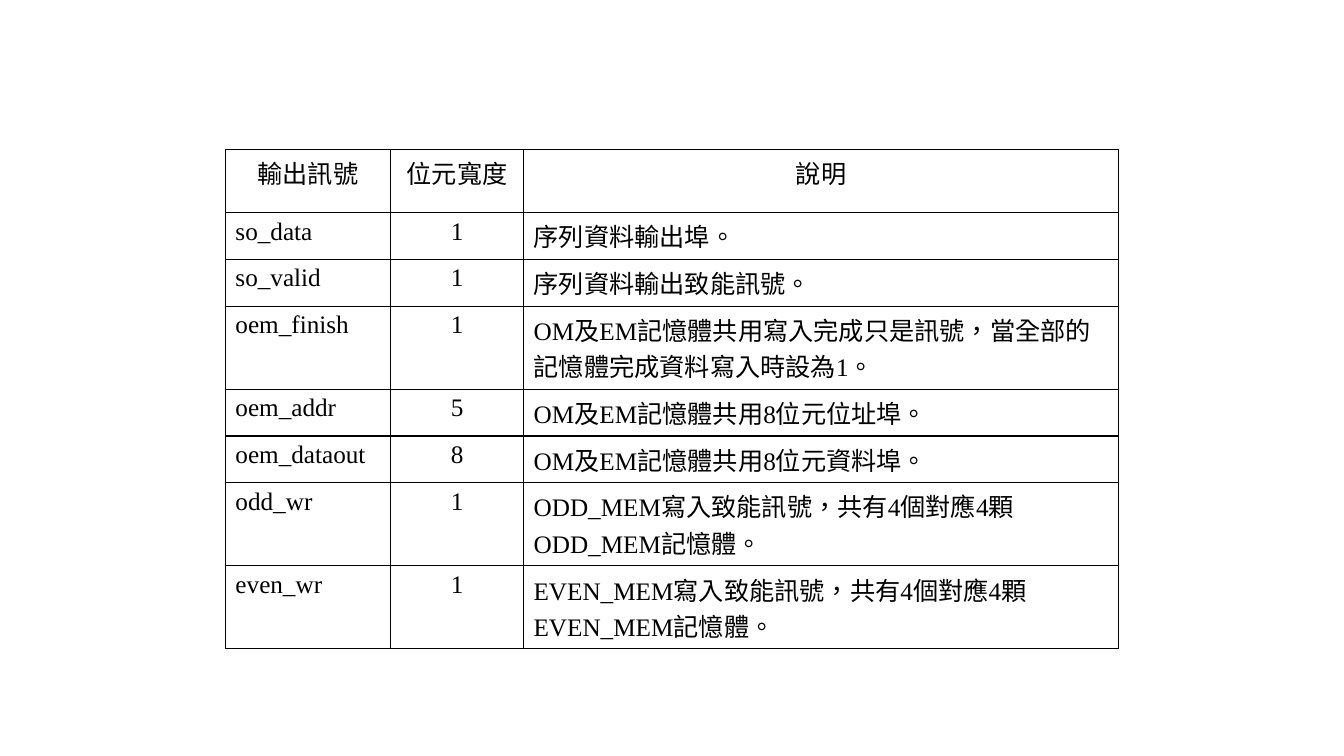
from lxml.etree import SubElement
from pptx import Presentation
from pptx.dml.color import RGBColor
from pptx.enum.text import PP_ALIGN
from pptx.oxml.ns import qn
from pptx.util import Pt

INK = "000000"
LATIN_FONT = "Times New Roman"
CHINESE_FONT = "Noto Sans CJK SC"
COLUMN_WIDTHS = (118, 95, 425)
HEADER_HEIGHT, ONE_LINE, TWO_LINES = 45.4, 33.4, 59.3

HEADINGS = ("輸出訊號", "位元寬度", "說明")
# Signal, bit width, description, row height
SIGNALS = [
    ("so_data", "1", "序列資料輸出埠。", ONE_LINE),
    ("so_valid", "1", "序列資料輸出致能訊號。", ONE_LINE),
    ("oem_finish", "1", "OM及EM記憶體共用寫入完成只是訊號，當全部的記憶體完成資料寫入時設為1。", TWO_LINES),
    ("oem_addr", "5", "OM及EM記憶體共用8位元位址埠。", ONE_LINE),
    ("oem_dataout", "8", "OM及EM記憶體共用8位元資料埠。", ONE_LINE),
    ("odd_wr", "1", "ODD_MEM寫入致能訊號，共有4個對應4顆ODD_MEM記憶體。", TWO_LINES),
    ("even_wr", "1", "EVEN_MEM寫入致能訊號，共有4個對應4顆EVEN_MEM記憶體。", TWO_LINES),
]


def color(value):
    return RGBColor.from_string(value)


def add_borders(cell):
    properties = cell._tc.get_or_add_tcPr()
    for position, side in enumerate(("lnL", "lnR", "lnT", "lnB")):
        border = SubElement(properties, qn(f"a:{side}"), w=str(Pt(1)))
        fill = SubElement(border, qn("a:solidFill"))
        SubElement(fill, qn("a:srgbClr"), val=INK)
        properties.insert(position, border)


def write_cell(cell, text, centered):
    cell.fill.background()
    add_borders(cell)
    cell.text_frame.text = text
    paragraph = cell.text_frame.paragraphs[0]
    paragraph.alignment = PP_ALIGN.CENTER if centered else PP_ALIGN.LEFT
    run = paragraph.runs[0]
    run.font.size = Pt(18)
    run.font.color.rgb = color(INK)
    run.font.name = LATIN_FONT
    run_properties = run._r.get_or_add_rPr()
    run_properties.set("lang", "zh-TW")
    SubElement(run_properties, qn("a:ea"), typeface=CHINESE_FONT)


def add_signal_table(slide, left, top):
    rows = [(*HEADINGS, HEADER_HEIGHT), *SIGNALS]
    heights = [row[-1] for row in rows]
    table = slide.shapes.add_table(
        len(rows), len(HEADINGS), Pt(left), Pt(top),
        Pt(sum(COLUMN_WIDTHS)), Pt(sum(heights)),
    ).table
    table.first_row = table.horz_banding = False
    for column, width in zip(table.columns, COLUMN_WIDTHS):
        column.width = Pt(width)
    for row_index, (*texts, height) in enumerate(rows):
        table.rows[row_index].height = Pt(height)
        for column_index, text in enumerate(texts):
            centered = row_index == 0 or column_index == 1
            write_cell(table.cell(row_index, column_index), text, centered)


def main():
    presentation = Presentation()
    presentation.slide_width, presentation.slide_height = Pt(960), Pt(540)
    slide = presentation.slides.add_slide(presentation.slide_layouts[6])
    add_signal_table(slide, 161, 106.5)
    presentation.save("out.pptx")


if __name__ == "__main__":
    main()
